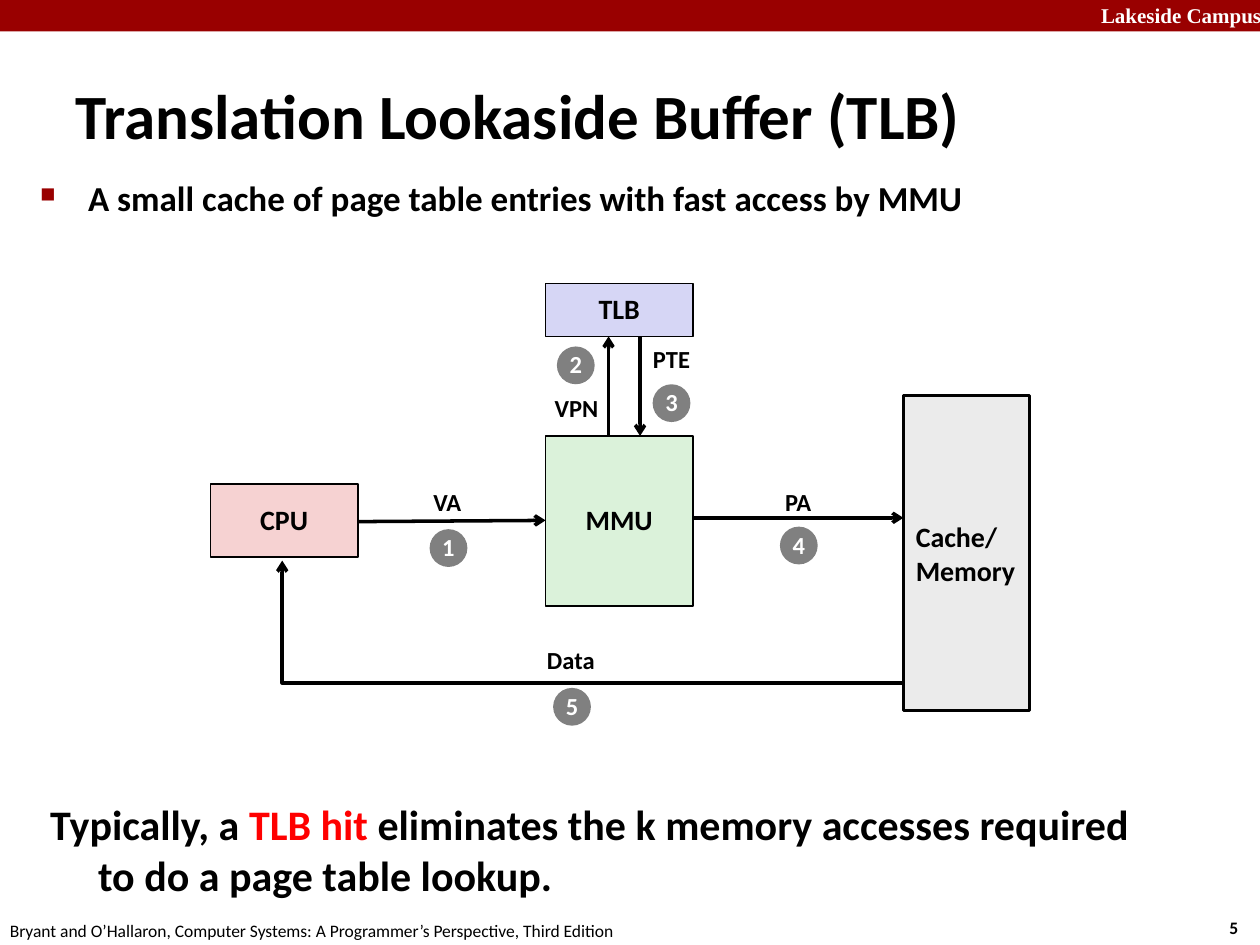
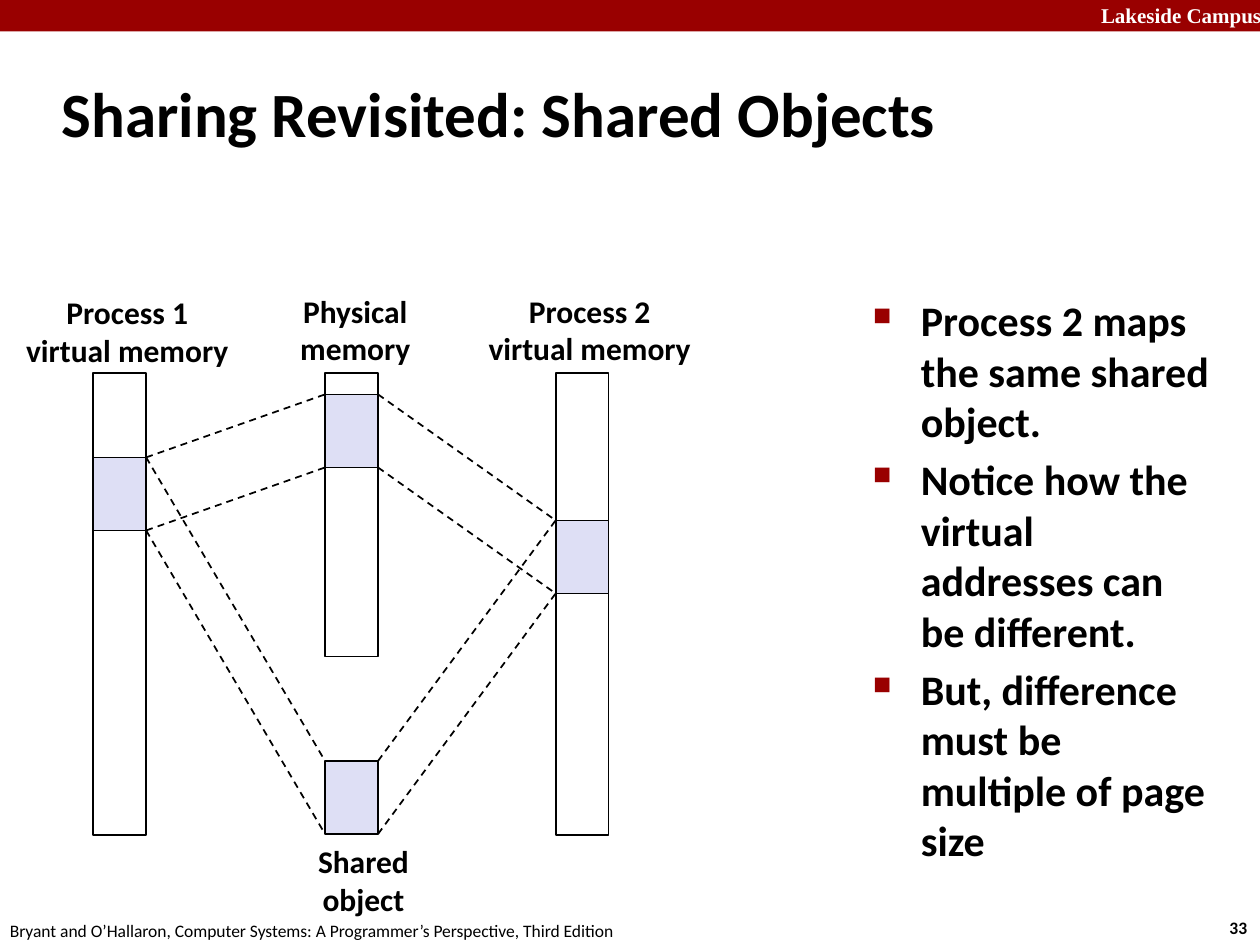
from dataclasses import dataclass
from itertools import product

from lxml import etree
from pptx import Presentation
from pptx import util as u
from pptx.dml.color import RGBColor
from pptx.enum import dml, shapes, text
from pptx.oxml.ns import qn

FONT = "Calibri"
BLACK, WHITE, RED, BAND = "000000", "FFFFFF", "FF0000", "990000"
GRAY, PALE = "808080", "DEDFF5"
LEFT, MID = text.PP_ALIGN.LEFT, text.PP_ALIGN.CENTER
RECT, OVAL = shapes.MSO_SHAPE.RECTANGLE, shapes.MSO_SHAPE.OVAL
TOP, CENTER = text.MSO_ANCHOR.TOP, text.MSO_ANCHOR.MIDDLE
HANG = 0.38


@dataclass
class Style:
    size: float = 14
    color: str = BLACK
    bold: bool = True
    font: str = FONT
    align: text.PP_ALIGN = MID
    anchor: text.MSO_ANCHOR = CENTER
    wrap: bool = False
    space: float = 1.0


@dataclass
class Box:
    left: float
    top: float
    width: float
    height: float
    fill: str = ""
    edge: float = 1

    @property
    def right(self) -> float:
        return self.left + self.width

    @property
    def frame(self) -> list:
        return [u.Inches(v) for v in (self.left, self.top, self.width, self.height)]


TAG = Style(space=0.98)
NAME = Style(16, space=0.98)
STEP = Style(color=WHITE, space=0.98)
HEAD = Style(18)
TITLE = Style(36, align=LEFT, wrap=True)
BODY = Style(24, align=LEFT, anchor=TOP, wrap=True)
SMALL = Style(10, align=LEFT, anchor=TOP)


def rgb(code: str) -> RGBColor:
    return RGBColor.from_string(code)


def write(frame, words: str, style: Style) -> None:
    frame.text = words
    frame.word_wrap = style.wrap
    frame.auto_size = text.MSO_AUTO_SIZE.NONE
    frame.vertical_anchor = style.anchor
    for para in frame.paragraphs:
        para.alignment = style.align
        para.line_spacing = style.space
        for run in para.runs:
            font = run.font
            font.name, font.size, font.bold = style.font, u.Pt(style.size), style.bold
            font.color.rgb = rgb(style.color)


def label(slide, box: Box, words: str, style: Style):
    frame = slide.shapes.add_textbox(*box.frame).text_frame
    write(frame, words, style)
    return frame


def block(slide, box: Box, words: str = "", style: Style = NAME, kind=RECT) -> None:
    shape = slide.shapes.add_shape(kind, *box.frame)
    shape.shadow.inherit = False
    if box.fill:
        shape.fill.solid()
        shape.fill.fore_color.rgb = rgb(box.fill)
    else:
        shape.fill.background()
    if box.edge:
        shape.line.color.rgb = rgb(BLACK)
        shape.line.width = u.Pt(box.edge)
    else:
        shape.line.fill.background()
    if words:
        write(shape.text_frame, words, style)


def link(slide, start: tuple, end: tuple, width: float = 2, arrow: bool = True,
         bent: bool = False) -> None:
    """Join two points with a solid arrow or a plain dashed line."""
    kinds = shapes.MSO_CONNECTOR
    kind = kinds.ELBOW if bent else kinds.STRAIGHT
    line = slide.shapes.add_connector(kind, *(u.Inches(v) for v in start + end))
    line.line.color.rgb = rgb(BLACK)
    line.line.width = u.Pt(width)
    props = line.element.spPr
    if bent:
        props.find(qn("a:prstGeom")).set("prst", "bentConnector2")
    if arrow:
        etree.SubElement(props.find(qn("a:ln")), qn("a:tailEnd"), type="arrow")
    else:
        line.line.dash_style = dml.MSO_LINE.DASH
    etree.SubElement(props, qn("a:effectLst"))


def indent(para, before: float, bullet: bool = True) -> None:
    """Give a paragraph a hanging indent and, if asked, a square bullet."""
    para.space_before = u.Pt(before)
    props = para._p.get_or_add_pPr()
    props.set("marL", str(u.Inches(HANG)))
    props.set("indent", str(-u.Inches(HANG)))
    if bullet:
        color = etree.SubElement(props, qn("a:buClr"))
        etree.SubElement(color, qn("a:srgbClr"), val=BAND)
        etree.SubElement(props, qn("a:buSzPct"), val="60000")
        etree.SubElement(props, qn("a:buChar"), char="■")


def start(deck, title: str, place: Box, number: int):
    """Add a slide with its title, band and footer."""
    slide = deck.slides.add_slide(deck.slide_layouts[5])
    head = slide.shapes.title
    head.left, head.top, head.width, head.height = place.frame
    write(head.text_frame, title, TITLE)
    block(slide, Box(0, 0, 10, 0.25, BAND, 0))
    label(slide, Box(8.64, -0.03, 1.43, 0.3), "Lakeside Campus",
          Style(12, WHITE, font="Times New Roman", align=LEFT, anchor=TOP))
    label(slide, Box(9.66, 7.23, 0.37, 0.27), str(number), SMALL)
    label(slide, Box(-0.02, 7.25, 5.08, 0.27),
          "Bryant and O’Hallaron, Computer Systems: A Programmer’s Perspective, "
          "Third Edition", Style(10, bold=False, align=LEFT, anchor=TOP))
    return slide


def buffer(deck) -> None:
    slide = start(deck, "Translation Lookaside Buffer (TLB)",
                  Box(0.5, 0.48, 9.53, 0.86), 5)
    intro = label(slide, Box(0.22, 1.41, 9.58, 0.92),
                  "A small cache of page table entries with fast access by MMU",
                  Style(20, align=LEFT, anchor=TOP, wrap=True, space=0.83))
    indent(intro.paragraphs[0], 12)

    units = {
        "TLB": Box(4.33, 2.25, 1.17, 0.42, "D6D6F5"),
        "MMU": Box(4.33, 3.46, 1.17, 1.35, "DBF2DA"),
        "CPU": Box(1.67, 3.84, 1.17, 0.58, "F6D2D2"),
    }
    for name, box in units.items():
        block(slide, box, name)
    block(slide, Box(7.17, 3.14, 1, 2.5, "EBEBEB", 1.5), "Cache/\nMemory",
          Style(16, align=LEFT))

    arrows = [((2.84, 4.14), (4.33, 4.13)), ((4.83, 3.46), (4.83, 2.67)),
              ((5.08, 2.67), (5.08, 3.46)), ((5.5, 4.11), (7.17, 4.11))]
    for tail, tip in arrows:
        link(slide, tail, tip)
    link(slide, (7.16, 5.42), (2.24, 4.45), bent=True)

    tags = [("VA", 3.34, 3.83, 0.42), ("VPN", 4.3, 3.08, 0.55),
            ("PTE", 5.08, 2.69, 0.5), ("PA", 6.13, 3.83, 0.41),
            ("Data", 4.24, 5.08, 0.58)]
    for name, left, top, width in tags:
        label(slide, Box(left, top, width, 0.33), name, TAG)
    steps = [(3.41, 4.2), (4.42, 2.75), (5.18, 3.05), (6.19, 4.18), (4.39, 5.46)]
    for count, (left, top) in enumerate(steps, 1):
        block(slide, Box(left, top, 0.3, 0.3, GRAY, 0), str(count), STEP, OVAL)

    note = label(slide, Box(0.3, 6.29, 8.95, 0.63), "Typically, a ", BODY)
    para = note.paragraphs[0]
    rest = " eliminates the k memory accesses required to do a page table lookup."
    for words, color in (("TLB hit", RED), (rest, BLACK)):
        run = para.add_run()
        run.text = words
        run.font.name, run.font.size, run.font.bold = FONT, u.Pt(BODY.size), True
        run.font.color.rgb = rgb(color)
    indent(para, 4.5, bullet=False)


def sharing(deck) -> None:
    slide = start(deck, "Sharing Revisited: Shared Objects",
                  Box(0.39, 0.48, 8.3, 0.83), 33)
    wide, high, top = 0.42, 0.58, 2.96
    first, middle, last = 0.74, 2.58, 4.41
    for left, tall in ((first, 3.67), (middle, 2.25), (last, 3.67)):
        block(slide, Box(left, top, wide, tall))

    one, ram, disk, two = [
        Box(left, y, wide, high, PALE)
        for left, y in ((first, 3.63), (middle, 3.13), (middle, 6.04), (last, 4.13))]
    for page in (one, ram, disk, two):
        block(slide, page)
    pairs = [(one, ram), (one, disk), (ram, two), (disk, two)]
    for (a, b), drop in product(pairs, (0, high)):
        link(slide, (a.right, a.top + drop), (b.left, b.top + drop), 1, arrow=False)

    heads = [("Process 1\nvirtual memory", 0.1, 2.27, 1.82),
             ("Physical\nmemory", 2.28, 2.26, 1.08),
             ("Process 2\nvirtual memory", 3.77, 2.26, 1.82),
             ("Shared\nobject", 2.42, 6.63, 0.93)]
    for words, left, y, width in heads:
        label(slide, Box(left, y, width, 0.71), words, HEAD)

    points = ["Process 2 maps the same shared object.",
              "Notice how the virtual addresses can be different.",
              "But, difference must be multiple of page size"]
    notes = label(slide, Box(6.83, 2.29, 2.9, 5.04), "\n".join(points), BODY)
    for para in notes.paragraphs:
        indent(para, 4.5)


def main() -> None:
    deck = Presentation()
    deck.slide_width, deck.slide_height = u.Inches(10), u.Inches(7.5)
    buffer(deck)
    sharing(deck)
    deck.save("out.pptx")


if __name__ == "__main__":
    main()
